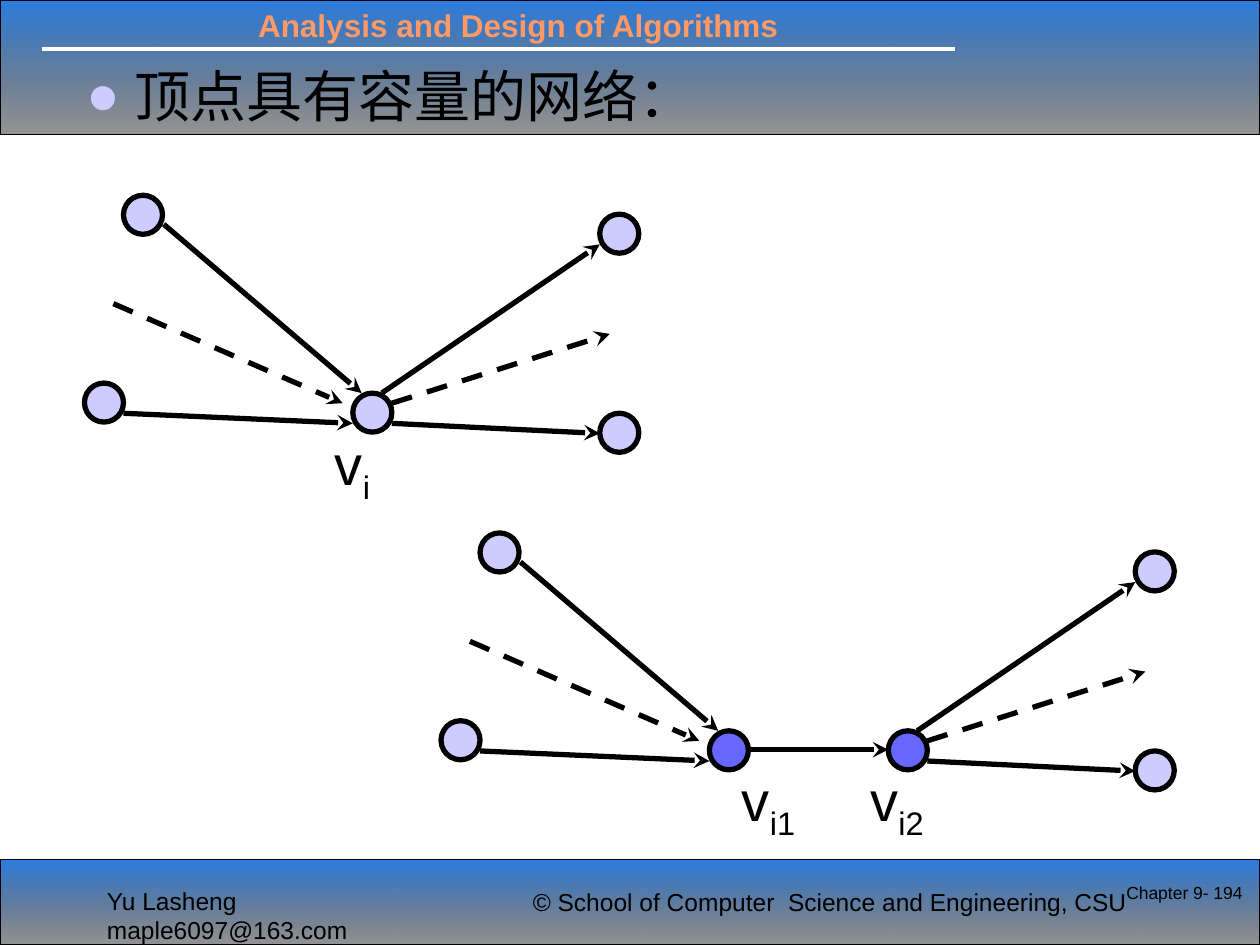
from lxml.etree import SubElement
from pptx import Presentation
from pptx.dml.color import RGBColor
from pptx.enum.dml import MSO_LINE
from pptx.enum.shapes import MSO_CONNECTOR, MSO_SHAPE
from pptx.enum.text import PP_ALIGN
from pptx.oxml.ns import qn
from pptx.util import Inches, Pt

COLORS = {
    "black": "000000", "white": "FFFFFF", "band": "0E6BDC",
    "title": "FF9966", "node": "CCCCFF", "split": "6767FF",
}
FONT = "Arial"
NODE = 0.31

BANDS = [(0, 1.07), (6.82, 0.68)]
TEXTS = [
    ("Analysis and Design of Algorithms", (1.95, 0, 5, 0.4),
     dict(size=18, color="title", bold=True)),
    ("Yu Lasheng  maple6097@163.com", (0.75, 6.98, 3.21, 0.34), dict(size=14, wrap=False)),
    ("© School of Computer  Science and Engineering, CSU", (4.13, 6.99, 5.12, 0.34),
     dict(size=14, wrap=False)),
    ("顶点具有容量的网络：", (0.59, 0.44, 9, 0.79), dict(size=32, bullet="●")),
    ("Chapter 9- 194", (8.7, 6.95, 1.26, 0.5), dict(size=10, align=PP_ALIGN.RIGHT)),
]

INCOMING = {
    "nodes": [(-1.82, -1.57), (-2.13, -0.08)],
    "edges": [((-1.5, -1.34), (0.07, 0), False),
              ((-1.82, 0.16), (0, 0.24), False),
              ((-1.9, -0.71), (-0.08, 0.08), True)],
}
OUTGOING = {
    "nodes": [(1.96, -1.42), (1.96, 0.16)],
    "edges": [((0.23, 0), (1.96, -1.18), False),
              ((0.31, 0.24), (1.96, 0.32), False),
              ((0.31, 0.08), (2.04, -0.47), True)],
}
HUBS = [
    ((2.8, 3.12), "node", [INCOMING, OUTGOING]),
    ((5.63, 5.8), "split", [INCOMING]),
    ((7.05, 5.8), "split", [OUTGOING]),
]
SPLIT_EDGE = ((5.94, 5.95), (7.05, 5.95))
LABELS = [("i", (2.56, 3.36)), ("i1", (5.79, 6.03)), ("i2", (6.81, 6.03))]


def rgb(name):
    return RGBColor.from_string(COLORS[name])


def add_band(slide, top, height):
    shape = slide.shapes.add_shape(
        MSO_SHAPE.RECTANGLE, 0, Inches(top), Inches(10), Inches(height))
    shape.shadow.inherit = False
    shape.fill.gradient()
    shape.fill.gradient_angle = 270
    for stop, (name, opacity) in zip(shape.fill.gradient_stops, [("band", 88), ("black", 41)]):
        stop.color.rgb = rgb(name)
    colors = shape._element.spPr.iter(qn("a:srgbClr"))
    for color, opacity in zip(list(colors), (88, 41)):
        SubElement(color, qn("a:alpha")).set("val", str(opacity * 1000))
    shape.line.color.rgb = rgb("black")
    shape.line.width = Pt(0.75)


def add_line(slide, start, end, color="black", width=3, dashed=False, arrow=True):
    connector = slide.shapes.add_connector(
        MSO_CONNECTOR.STRAIGHT, *[Inches(value) for value in (*start, *end)])
    connector.line.color.rgb = rgb(color)
    connector.line.width = Pt(width)
    if dashed:
        connector.line.dash_style = MSO_LINE.DASH
    if arrow:
        SubElement(connector.line._get_or_add_ln(), qn("a:tailEnd")).set("type", "stealth")
    SubElement(connector._element.spPr, qn("a:effectLst"))


def add_node(slide, left, top, color):
    shape = slide.shapes.add_shape(
        MSO_SHAPE.OVAL, Inches(left), Inches(top), Inches(NODE), Inches(NODE))
    shape.shadow.inherit = False
    shape.fill.solid()
    shape.fill.fore_color.rgb = rgb(color)
    shape.line.color.rgb = rgb("black")
    shape.line.width = Pt(3)


def add_text(slide, text, box, size, color="black", bold=False, wrap=True,
             align=PP_ALIGN.LEFT, bullet=None, subscript=None):
    frame = slide.shapes.add_textbox(*[Inches(value) for value in box]).text_frame
    frame.word_wrap = wrap
    paragraph = frame.paragraphs[0]
    paragraph.alignment = align
    if bullet:
        properties = paragraph._p.get_or_add_pPr()
        properties.set("marL", str(Inches(0.38)))
        properties.set("indent", str(-Inches(0.38)))
        bullet_color = SubElement(properties, qn("a:buClr"))
        SubElement(bullet_color, qn("a:srgbClr")).set("val", COLORS["node"])
        SubElement(properties, qn("a:buFont")).set("typeface", FONT)
        SubElement(properties, qn("a:buChar")).set("char", bullet)
    for part in filter(None, (text, subscript)):
        run = paragraph.add_run()
        run.text = part
        run.font.name = FONT
        run.font.size = Pt(size)
        run.font.bold = bold
        run.font.color.rgb = rgb(color)
    if subscript:
        run.font._element.set("baseline", "-25000")


def add_hub(slide, origin, color, fans):
    def place(offset):
        return origin[0] + offset[0], origin[1] + offset[1]

    add_node(slide, *origin, color)
    for fan in fans:
        for start, end, dashed in fan["edges"]:
            add_line(slide, place(start), place(end), dashed=dashed)
        for offset in fan["nodes"]:
            add_node(slide, *place(offset), "node")


def main():
    presentation = Presentation()
    presentation.slide_width = Inches(10)
    presentation.slide_height = Inches(7.5)
    slide = presentation.slides.add_slide(presentation.slide_layouts[6])
    for top, height in BANDS:
        add_band(slide, top, height)
    add_line(slide, (0.33, 0.39), (7.58, 0.39), color="white", width=2.25, arrow=False)
    for text, box, style in TEXTS:
        add_text(slide, text, box, **style)
    for origin, color, fans in HUBS:
        add_hub(slide, origin, color, fans)
    add_line(slide, *SPLIT_EDGE)
    for subscript, position in LABELS:
        add_text(slide, "v", (*position, 0.71, 0.63), size=32, subscript=subscript)
    presentation.save("out.pptx")


if __name__ == "__main__":
    main()
